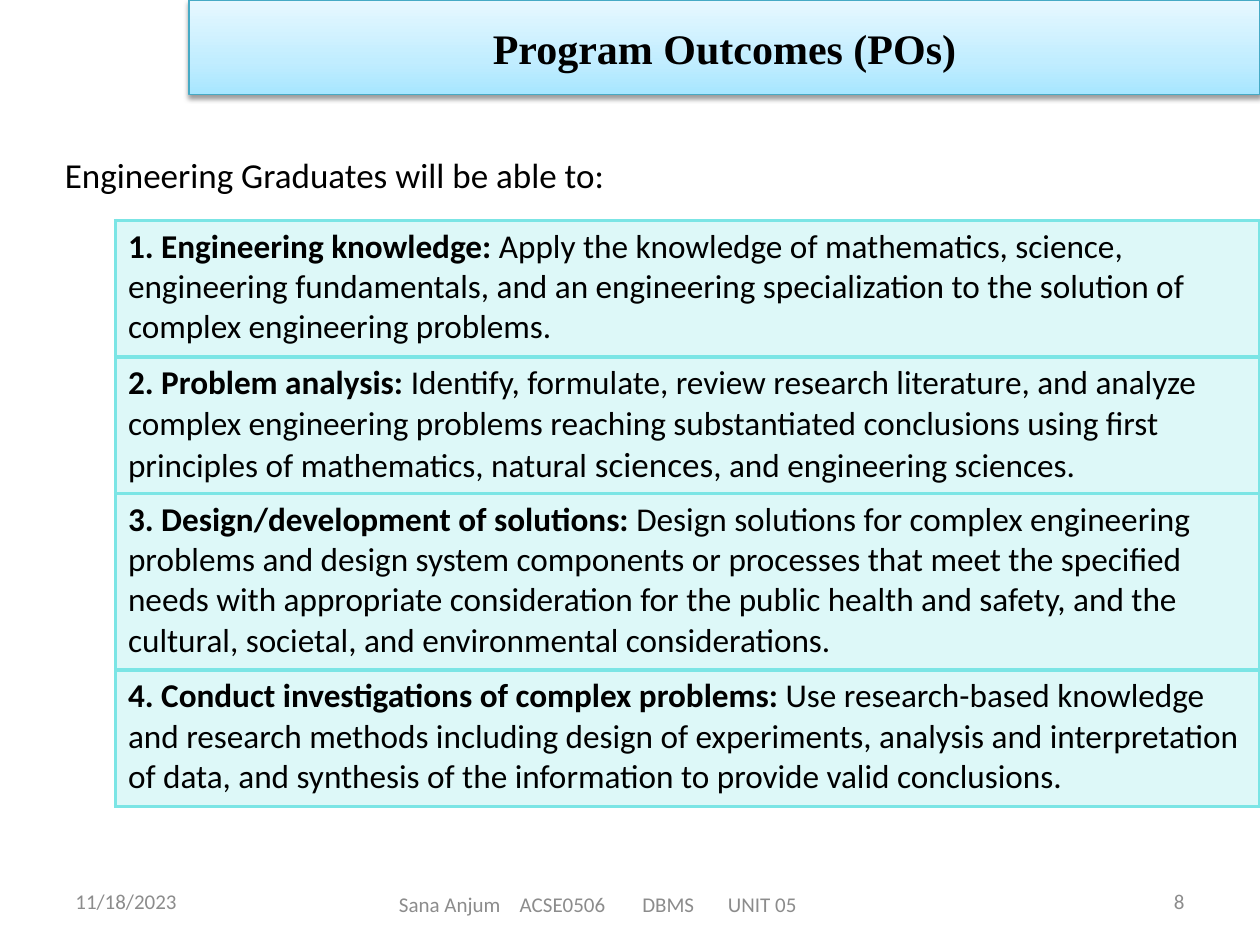
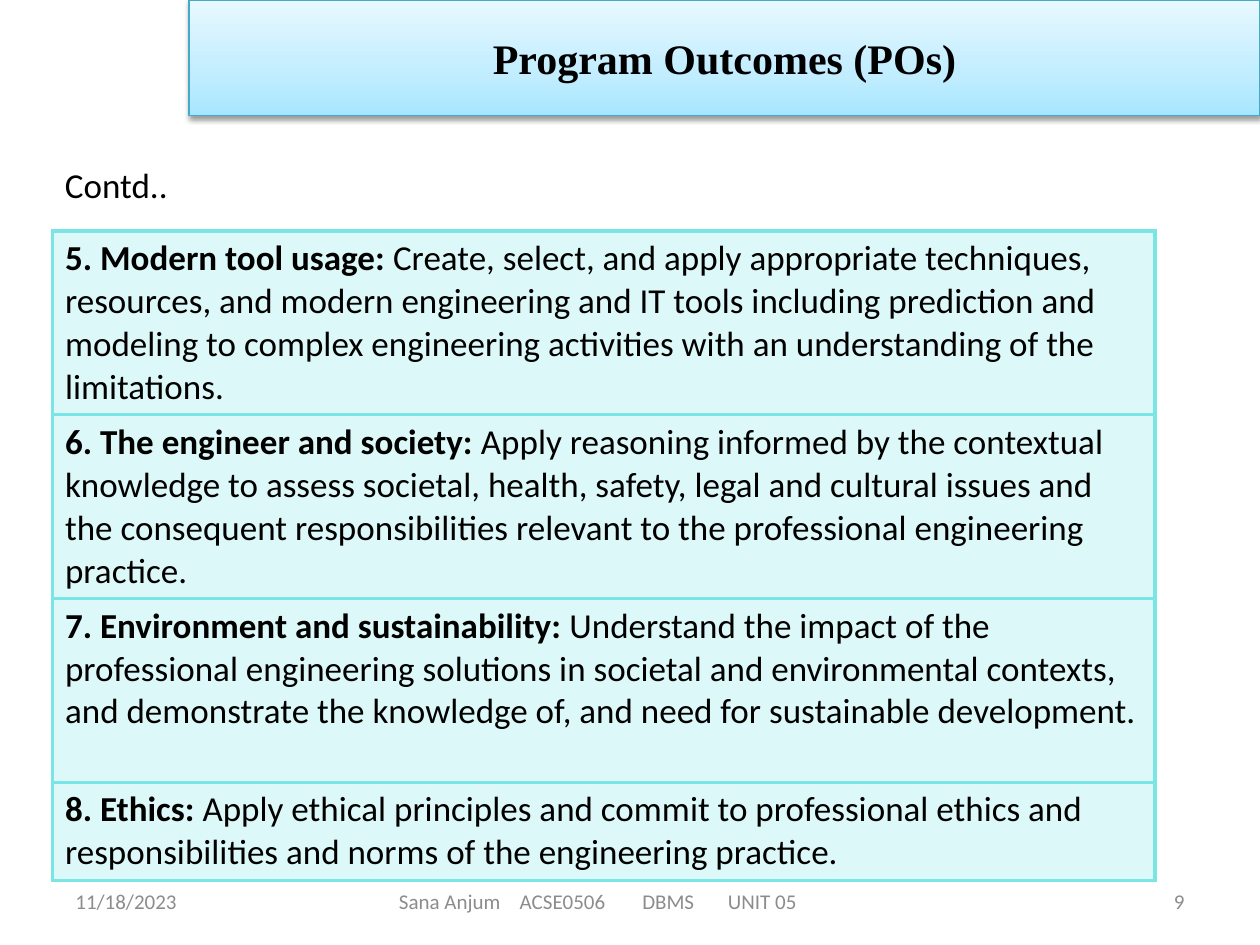
from pptx import Presentation, util as u
from pptx.dml.color import RGBColor
from pptx.enum import text as t
from pptx.oxml import parse_xml
from pptx.oxml.ns import nsdecls

Pt = u.Pt
HUE = {"ink": "000000", "grey": "8C8C8C", "aqua": "7BE5E5", "edge": "46AAC5",
       "low": "A7E6FF", "mid": "C1EDFF", "high": "E7F8FF"}
NS = nsdecls("a")
LEFT, MID, RIGHT = t.PP_ALIGN.LEFT, t.PP_ALIGN.CENTER, t.PP_ALIGN.RIGHT

GRAD = f'<a:gradFill {NS} rotWithShape="1"><a:gsLst>' + "".join(
    f'<a:gs pos="{pos * 1000}"><a:srgbClr val="{HUE[key]}"/></a:gs>'
    for pos, key in ((0, "low"), (35, "mid"), (100, "high"))
) + '</a:gsLst><a:lin ang="16200000" scaled="0"/></a:gradFill>'
SHADE = (f'<a:effectLst {NS}><a:outerShdw blurRad="{Pt(3.1)}" dist="{Pt(1.6)}" '
         f'dir="5400000" rotWithShape="0"><a:srgbClr val="{HUE["ink"]}">'
         '<a:alpha val="38000"/></a:srgbClr></a:outerShdw></a:effectLst>')
TABS = f'<a:tabLst {NS}>' + "".join(
    f'<a:tab pos="{Pt(pos)}" algn="l"/>' for pos in (69, 139, 188)) + '</a:tabLst>'

PAGES = [
    {"num": "8", "band": 54, "foot": (504, 25), "lead": (84, 326),
     "intro": "Engineering Graduates will be able to:",
     "grid": (66, 126, 654), "rows": (78, 78, 101, 78), "size": 19,
     "items": [
         ("1. Engineering knowledge: ",
          ["Apply the knowledge of mathematics, science, engineering fundamentals, "
           "and an engineering specialization to the solution of complex "
           "engineering problems."]),
         ("2. Problem analysis:",
          [" Identify, formulate, review research literature, and analyze complex "
           "engineering problems reaching substantiated conclusions using first "
           "principles of mathematics, natural ", "sciences",
           ", and engineering sciences."]),
         ("3. Design/development of solutions:",
          [" Design solutions for complex engineering problems and design system "
           "components or processes that meet the specified needs with appropriate "
           "consideration for the public health and safety, and the cultural, "
           "societal, and environmental considerations."]),
         ("4. Conduct investigations of complex problems: ",
          ["Use research-based knowledge and research methods including design of "
           "experiments, analysis and interpretation of data, and synthesis of the "
           "information to provide valid conclusions."])]},
    {"num": "9", "band": 66, "foot": (500.5, 28.5), "lead": (90, 74),
     "intro": "Contd..",
     "grid": (30, 132, 630), "rows": (105, 105, 105, 56), "size": 20,
     "items": [
         ("5. Modern tool usage: ",
          ["Create, select, and apply appropriate techniques, resources, and modern "
           "engineering and IT tools including prediction and modeling to complex "
           "engineering activities with an understanding of the limitations."]),
         ("6. The engineer and society:",
          [" Apply reasoning informed by the contextual knowledge to assess "
           "societal, health, safety, legal and cultural issues and the consequent "
           "responsibilities relevant to the professional engineering practice."]),
         ("7. Environment and sustainability: ",
          ["Understand the impact of the professional engineering solutions in "
           "societal and environmental contexts, and demonstrate the knowledge of, "
           "and need for sustainable development."]),
         ("8. Ethics:",
          [" Apply ethical principles and commit to professional ethics and "
           "responsibilities and norms of the engineering practice."])]},
]


def write(para, words, size, hue="ink", bold=False, face="Calibri"):
    run = para.add_run()
    run.text = words
    font = run.font
    font.size, font.bold, font.name = Pt(size), bold, face
    font.color.rgb = RGBColor.from_string(HUE[hue])


def label(slide, x, y, w, h, words, size, hue, align=LEFT, wrap=True):
    frame = slide.shapes.add_textbox(Pt(x), Pt(y), Pt(w), Pt(h)).text_frame
    frame.word_wrap = wrap
    frame.vertical_anchor = t.MSO_ANCHOR.MIDDLE if wrap else t.MSO_ANCHOR.TOP
    para = frame.paragraphs[0]
    para.alignment = align
    write(para, words, size, hue)
    return frame


deck = Presentation()
deck.slide_width, deck.slide_height = Pt(720), Pt(540)

for page in PAGES:
    slide = deck.slides.add_slide(deck.slide_layouts[5])

    # Title band
    title = slide.shapes.title
    title.left, title.top, title.width, title.height = Pt(108), Pt(0), Pt(612), Pt(page["band"])
    props = title.element.spPr
    props.append(parse_xml(GRAD))
    title.line.color.rgb = RGBColor.from_string(HUE["edge"])
    title.line.width = Pt(0.75)
    props.append(parse_xml(SHADE))
    title.text_frame.vertical_anchor = t.MSO_ANCHOR.MIDDLE
    head = title.text_frame.paragraphs[0]
    head.alignment = MID
    write(head, "Program Outcomes (POs)", 24, bold=True, face="Times New Roman")

    # Lead-in line
    top, wide = page["lead"]
    label(slide, 30, top, wide, 31.5, page["intro"], 20, "ink", wrap=False)

    # Outcomes table
    x, y, wide = page["grid"]
    rows, size = page["rows"], page["size"]
    grid = slide.shapes.add_table(len(rows), 1, Pt(x), Pt(y), Pt(wide), Pt(sum(rows))).table
    grid.first_row = grid.horz_banding = False
    for i, (name, parts) in enumerate(page["items"]):
        grid.rows[i].height = Pt(rows[i])
        cell = grid.cell(i, 0)
        cell.fill.solid()
        cell.fill.fore_color.rgb = RGBColor.from_string(HUE["aqua"])
        props = cell._tc.get_or_add_tcPr()
        props[0][0].append(parse_xml(f'<a:alpha {NS} val="25000"/>'))
        for n, side in enumerate("LRTB"):
            props.insert(n, parse_xml(
                f'<a:ln{side} {NS} w="{Pt(2.25)}"><a:solidFill><a:srgbClr '
                f'val="{HUE["aqua"]}"/></a:solidFill></a:ln{side}>'))
        para = cell.text_frame.paragraphs[0]
        write(para, name, size, bold=True)
        for part in parts:
            write(para, part, 20 if part == "sciences" else size)

    # Footer: date, course, page number
    label(slide, 36, 500.5, 168, 28.5, "11/18/2023", 12, "grey")
    top, high = page["foot"]
    foot = label(slide, 210, top, 264, high,
                 "Sana Anjum\tACSE0506\tDBMS\tUNIT 05", 12, "grey")
    foot.margin_left = Pt(18)
    foot.paragraphs[0]._p.get_or_add_pPr().append(parse_xml(TABS))
    label(slide, 516, 500.5, 168, 28.5, page["num"], 12, "grey", RIGHT)

deck.save("out.pptx")
